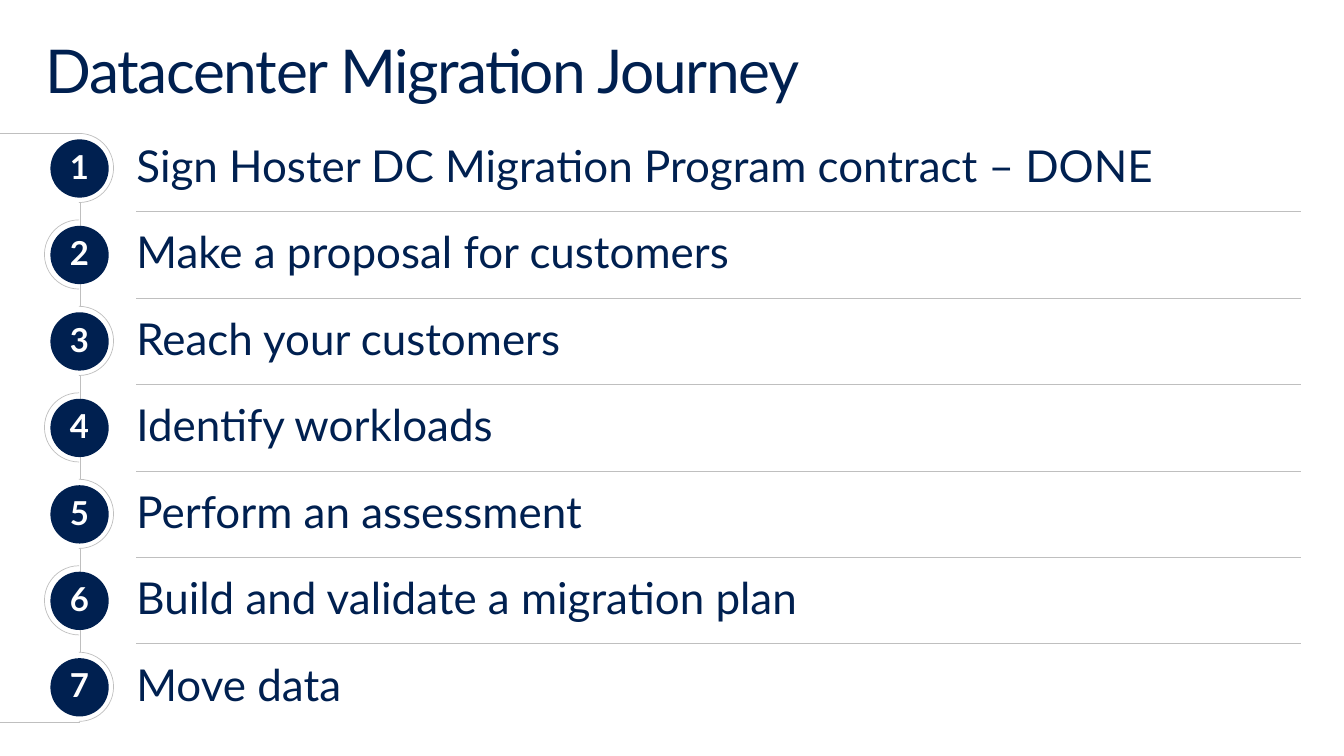
from pptx import Presentation
from pptx.dml.color import RGBColor
from pptx.enum.shapes import MSO_CONNECTOR, MSO_SHAPE
from pptx.enum.text import MSO_ANCHOR as ANCHOR, PP_ALIGN as ALIGN
from pptx.oxml import parse_xml
from pptx.oxml.ns import nsdecls
from pptx.util import Inches, Pt

NAVY, WHITE, GREY = "002050", "FFFFFF", "BFBFBF"
color = RGBColor.from_string

steps = [
    "Sign Hoster DC Migration Program contract – DONE",
    "Make a proposal for customers",
    "Reach your customers",
    "Identify workloads",
    "Perform an assessment",
    "Build and validate a migration plan",
    "Move data",
]
row_pitch = 5.25 / 6
text_left, text_right = 1.38, 13.16
spine_x = 0.81

presentation = Presentation()
presentation.slide_width = Inches(13.6)
presentation.slide_height = Inches(7.65)
slide = presentation.slides.add_slide(presentation.slide_layouts[6])


def add_line(x1, y1, x2, y2):
    line = slide.shapes.add_connector(
        MSO_CONNECTOR.STRAIGHT, Inches(x1), Inches(y1), Inches(x2), Inches(y2))
    line.line.color.rgb = color(GREY)
    line.line.width = Pt(0.5)
    line._element.spPr.append(parse_xml(f"<a:effectLst {nsdecls('a')}/>"))


def write(shape, text, size, font_color, anchor, margins=(0, 0), bold=False, align=ALIGN.LEFT):
    frame = shape.text_frame
    frame.word_wrap = True
    frame.vertical_anchor = anchor
    frame.margin_left = frame.margin_right = Inches(margins[0])
    frame.margin_top = frame.margin_bottom = Inches(margins[1])
    paragraph = frame.paragraphs[0]
    paragraph.alignment = align
    paragraph.line_spacing = 0.9
    run = paragraph.add_run()
    run.text = text
    run.font.name = "Lato"
    run.font.size = Pt(size)
    run.font.bold = bold
    run.font.color.rgb = color(font_color)
    return run


# Spine behind the step markers
add_line(spine_x, 6.66, spine_x, 2)

# Half-circle arcs, alternating right and left
for index in range(len(steps)):
    arc = slide.shapes.add_shape(
        MSO_SHAPE.ARC, Inches(0.45), Inches(1.35 + index * row_pitch), Inches(0.7), Inches(0.7))
    arc.adjustments[0] = 162
    arc.adjustments[1] = 54.2
    arc.shadow.inherit = False
    arc.fill.solid()
    arc.fill.fore_color.rgb = color(WHITE)
    arc.line.color.rgb = color(GREY)
    arc.line.width = Pt(0.5)
    if index % 2:
        arc._element.spPr.get_or_add_xfrm().set("flipH", "1")

# Title
title = slide.shapes.add_textbox(Inches(0.3), Inches(0.32), Inches(13), Inches(0.9))
title_run = write(title, "Datacenter Migration Journey", 44, NAVY, ANCHOR.TOP, (0.16, 0.1))
title_run.font._element.set("spc", "-100")

# Numbered steps with dividers between them
for index, step in enumerate(steps):
    offset = index * row_pitch
    marker = slide.shapes.add_shape(
        MSO_SHAPE.OVAL, Inches(0.51), Inches(1.41 + offset), Inches(0.59), Inches(0.59))
    marker.shadow.inherit = False
    marker.fill.solid()
    marker.fill.fore_color.rgb = color(NAVY)
    marker.line.fill.background()
    write(marker, str(index + 1), 24, WHITE, ANCHOR.MIDDLE, bold=True, align=ALIGN.CENTER)

    label = slide.shapes.add_textbox(
        Inches(text_left), Inches(1.46 + offset), Inches(text_right - text_left), Inches(0.48))
    write(label, step, 32, NAVY, ANCHOR.MIDDLE)

    if index < len(steps) - 1:
        add_line(text_left, 2.14 + offset, text_right, 2.14 + offset)

# Lines entering and leaving at the slide edge
for y in (1.35, 7.31):
    add_line(0, y, spine_x, y)

presentation.save("out.pptx")
